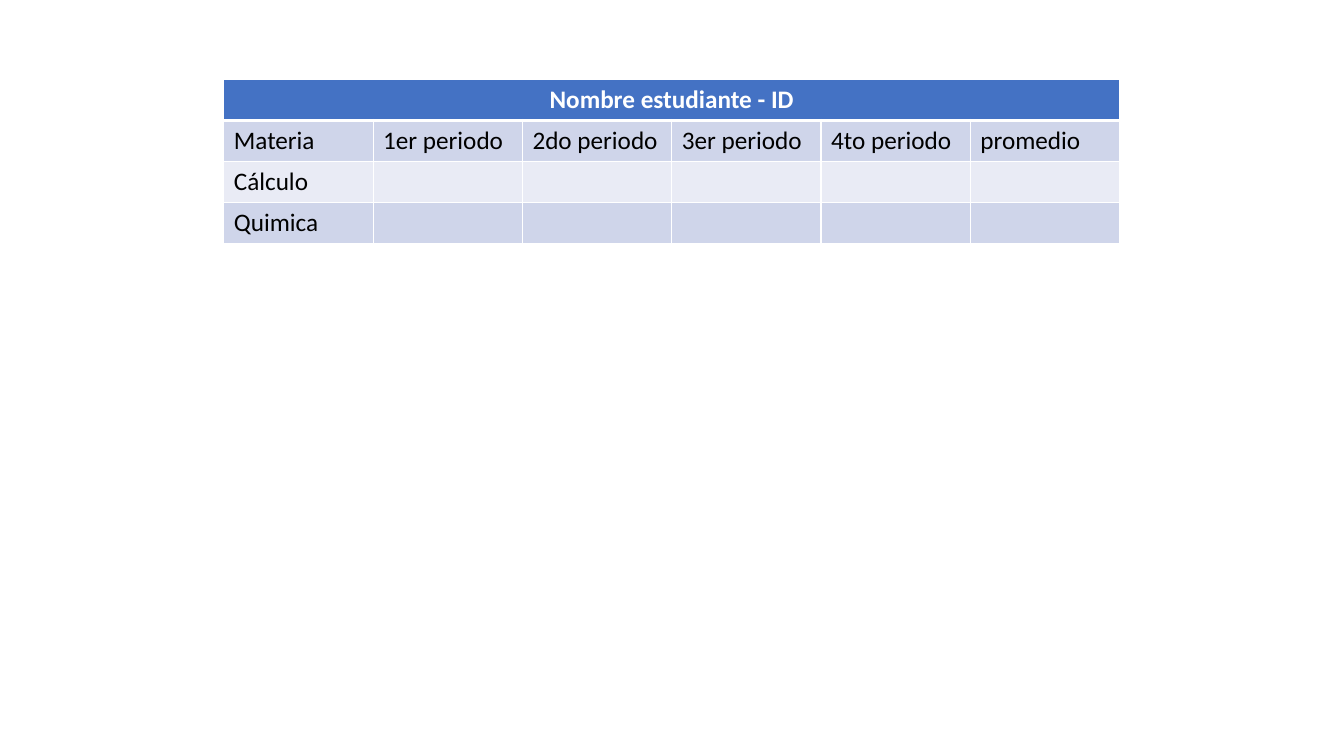
import pptx
import pptx.dml.color
import pptx.enum.text
import pptx.oxml
import pptx.oxml.ns
import pptx.util
from pptx.util import Cm

TITLE = "Nombre estudiante - ID"
HEADS = ["Materia", "1er periodo", "2do periodo", "3er periodo",
         "4to periodo", "promedio"]
TOPICS = ["Cálculo", "Quimica"]
BANDS = ["CFD5EA", "E9EBF5"]
HEAD_FONT = {"name": "Calibri", "size": pptx.util.Pt(18), "bold": True}
BODY_FONT = {**HEAD_FONT, "bold": False}


def color(value):
    return pptx.dml.color.RGBColor.from_string(value)


def add_edges(cell, widths):
    """Draw white borders; widths maps the sides L, R, T and B to points."""
    props = cell._tc.get_or_add_tcPr()
    for side, width in widths.items():
        props.append(pptx.oxml.parse_xml(
            f'<a:ln{side} {pptx.oxml.ns.nsdecls("a")} w="{pptx.util.Pt(width)}">'
            f'<a:solidFill><a:srgbClr val="FFFFFF"/></a:solidFill></a:ln{side}>'))


def paint(cell, fill):
    cell.fill.solid()
    cell.fill.fore_color.rgb = color(fill)


def write(cell, text, font, ink, align=pptx.enum.text.PP_ALIGN.LEFT):
    para = cell.text_frame.paragraphs[0]
    para.alignment = align
    run = para.add_run()
    run.text = text
    for key, value in font.items():
        setattr(run.font, key, value)
    run.font.color.rgb = color(ink)


def add_grades(slide):
    rows = [HEADS] + [[topic] + [""] * (len(HEADS) - 1) for topic in TOPICS]
    table = slide.shapes.add_table(len(rows) + 1, len(HEADS), Cm(5.64), Cm(2.01),
                                   Cm(22.58), Cm(4.12)).table
    title = table.cell(0, 0)
    title.merge(table.cell(0, len(HEADS) - 1))
    for cell in table.rows[0].cells:
        add_edges(cell, {"L": 1, "R": 1, "T": 1, "B": 3})
        paint(cell, "4472C4")
    write(title, TITLE, HEAD_FONT, "FFFFFF", pptx.enum.text.PP_ALIGN.CENTER)
    for r, texts in enumerate(rows):
        for c, text in enumerate(texts):
            cell = table.cell(r + 1, c)
            add_edges(cell, {"L": 1, "R": 1, "T": 1 if r else 3, "B": 1})
            paint(cell, BANDS[r % 2])
            if text:
                write(cell, text, BODY_FONT, "000000")


def main():
    deck = pptx.Presentation()
    deck.slide_width, deck.slide_height = Cm(33.87), Cm(19.05)
    add_grades(deck.slides.add_slide(deck.slide_layouts[6]))
    deck.save("out.pptx")


if __name__ == "__main__":
    main()
